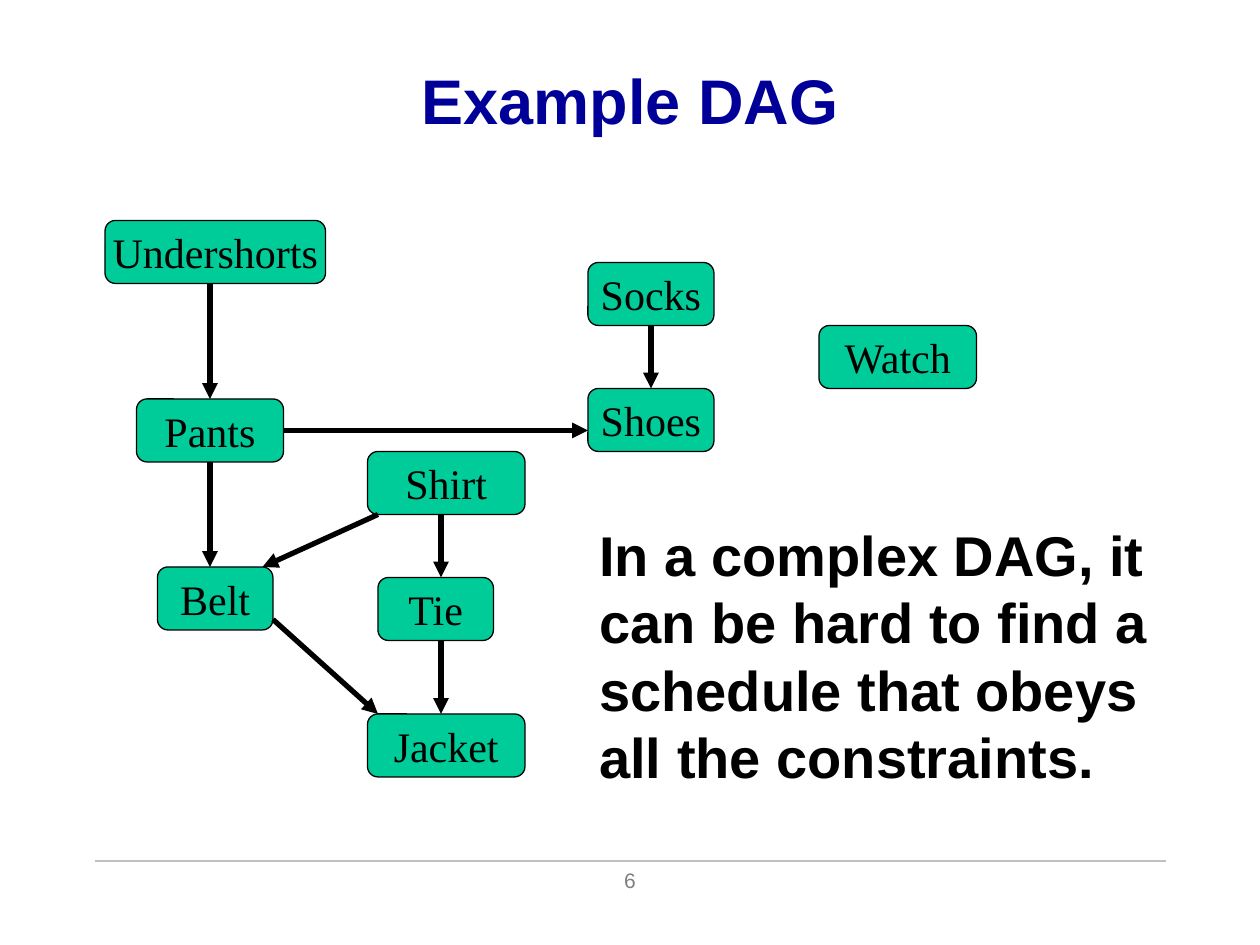
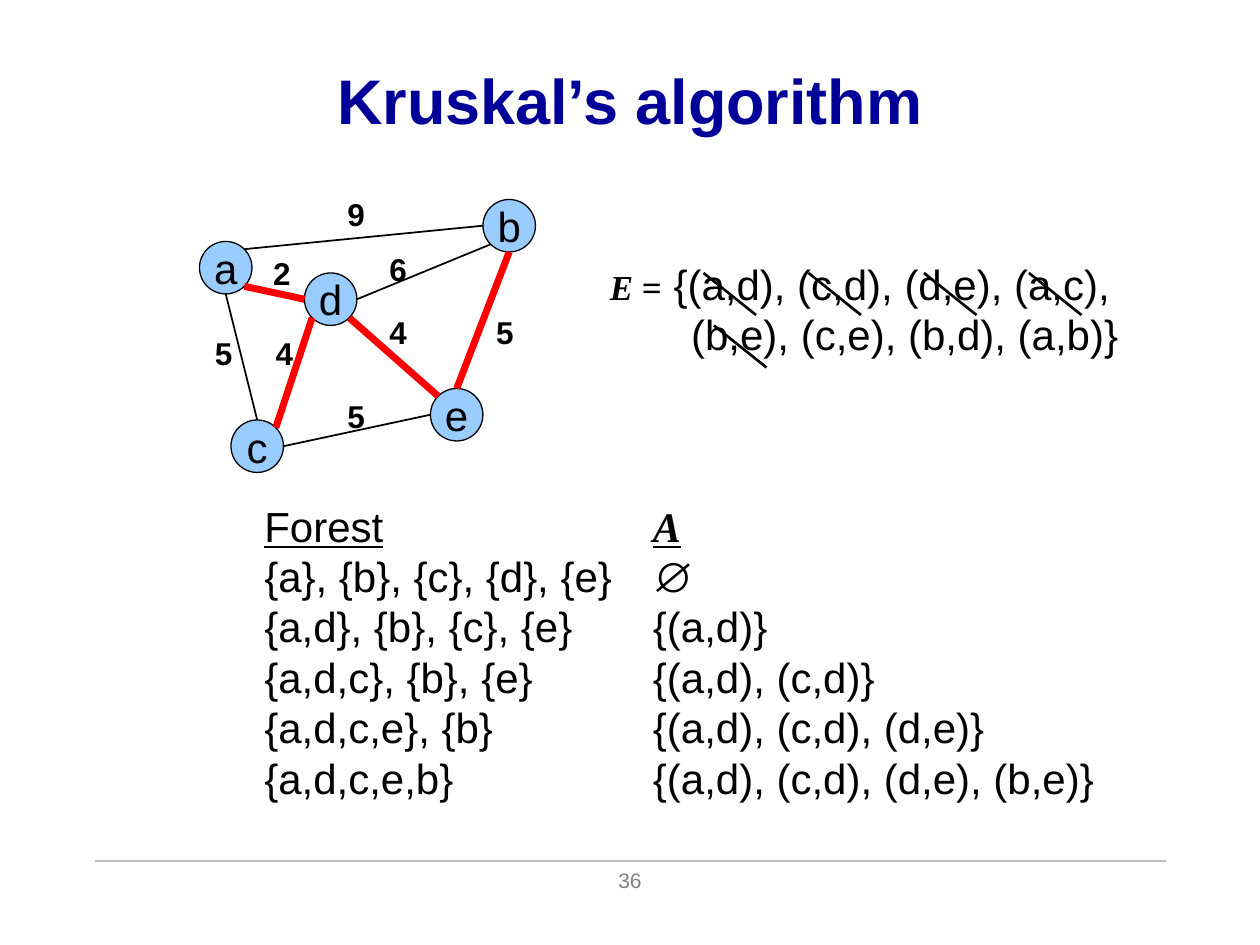
"""Build two lecture slides: a clothing DAG and a Kruskal trace."""
from dataclasses import dataclass
from math import cos, radians, sin

from lxml import etree
from pptx import Presentation
from pptx.dml.color import RGBColor
from pptx.enum.shapes import MSO_CONNECTOR, MSO_SHAPE
from pptx.enum.text import MSO_ANCHOR, PP_ALIGN
from pptx.oxml.ns import qn
from pptx.util import Cm, Pt

STRAIGHT = MSO_CONNECTOR.STRAIGHT
ROUNDED = MSO_SHAPE.ROUNDED_RECTANGLE
OVAL = MSO_SHAPE.OVAL
TOP, MIDDLE = MSO_ANCHOR.TOP, MSO_ANCHOR.MIDDLE
LEFT, CENTER = PP_ALIGN.LEFT, PP_ALIGN.CENTER


@dataclass(frozen=True)
class Theme:
    """Colours, fonts, type sizes and the grid step in centimetres."""
    grid: float = 2.54 / 12
    sans: str = "Arial"
    serif: str = "Times New Roman"
    title_color: str = "000099"
    ink: str = "000000"
    rule: str = "C0C0C0"
    muted: str = "808080"
    garment: str = "00CC99"
    vertex: str = "99CCFF"
    chosen: str = "FF0000"
    title_size: int = 36
    claim_size: int = 32
    body_size: int = 24
    symbol_size: int = 20
    weight_size: int = 18
    number_size: int = 12


THEME = Theme()
BOX_HEIGHT = 6
VERTEX_SIZE = 5
ANGLES = {"E": 0, "SE": 45, "S": 90, "SW": 135, "W": 180, "NW": 225, "N": 270, "NE": 315}

GARMENTS = [
    ("Watch", 78, 31, 15), ("Socks", 56, 25, 12), ("Shoes", 56, 37, 12),
    ("Undershorts", 10, 21, 21), ("Pants", 13, 38, 14), ("Belt", 15, 54, 11),
    ("Tie", 36, 55, 11), ("Shirt", 35, 43, 15), ("Jacket", 35, 68, 15),
]
CONSTRAINTS = [
    ((20, 27), (20, 38)), ((20, 44), (20, 54)), ((42, 49), (42, 55)), ((42, 61), (42, 68)),
    ((36, 49), (25, 54)), ((26, 59), (36, 68)), ((62, 31), (62, 37)), ((27, 41), (56, 41)),
]
VERTICES = {"a": (19, 23), "c": (22, 40), "e": (41, 37), "d": (29, 26), "b": (46, 19)}
OPEN_EDGES = [("a", "NE", "b", "W"), ("d", "E", "b", "SW"), ("a", "S", "c", "N"), ("e", "W", "c", "E")]
FOREST_EDGES = [("a", "SE", "d", "W"), ("c", "NE", "d", "SW"), ("d", "SE", "e", "NW"), ("b", "S", "e", "N")]
WEIGHTS = [
    ("2", 24.84, 23.64), ("4", 25.08, 31.2), ("5", 19.3, 31.2), ("9", 31.92, 18),
    ("6", 35.9, 23.2), ("4", 35.9, 29.2), ("5", 31.92, 37.2), ("5", 46.08, 29.2),
]
STRIKES = [(67, 26), (77, 26), (88, 26), (98, 26), (68, 31)]
FOREST_STEPS = "{a}, {b}, {c}, {d}, {e}\n{a,d}, {b}, {c}, {e}\n{a,d,c}, {b}, {e}\n{a,d,c,e}, {b}\n{a,d,c,e,b}"
CHOSEN_STEPS = "∅\n{(a,d)}\n{(a,d), (c,d)}\n{(a,d), (c,d), (d,e)}\n{(a,d), (c,d), (d,e), (b,e)}"


def grid(*steps):
    """Turn grid steps into lengths."""
    return [Cm(step * THEME.grid) for step in steps]


def write(shape, text, size=THEME.body_size, font=THEME.sans, color=THEME.ink, bold=False,
          italic=False, underline=False, align=LEFT, indent=0, same_line=False):
    """Append text to a shape, one paragraph per line."""
    frame = shape.text_frame
    for line in text.split("\n"):
        paragraph = frame.paragraphs[-1]
        if paragraph.runs and not same_line:
            paragraph = frame.add_paragraph()
        paragraph.alignment = align
        if indent:
            paragraph._p.get_or_add_pPr().set("marL", str(Cm(indent)))
        run = paragraph.add_run()
        run.text = line
        run.font.size, run.font.name = Pt(size), font
        run.font.bold, run.font.italic, run.font.underline = bold, italic, underline
        run.font.color.rgb = RGBColor.from_string(color)


def add_text_box(slide, left, top, width, height, anchor=TOP):
    """Add an empty text box whose lines do not wrap."""
    box = slide.shapes.add_textbox(*grid(left, top, width, height))
    box.text_frame.word_wrap = False
    box.text_frame.vertical_anchor = anchor
    return box


def add_node(slide, preset, label, bounds, fill, font):
    """Add an outlined shape with a centred label."""
    node = slide.shapes.add_shape(preset, *grid(*bounds))
    node.shadow.inherit = False
    node.fill.solid()
    node.fill.fore_color.rgb = RGBColor.from_string(fill)
    node.line.color.rgb = RGBColor.from_string(THEME.ink)
    node.line.width = Pt(0.75)
    node.text_frame.word_wrap = False
    node.text_frame.vertical_anchor = MIDDLE
    write(node, label, font=font, align=CENTER)


def add_line(slide, start, end, width, color=THEME.ink, arrow=False):
    """Add a straight line, with an arrowhead at its end on request."""
    line = slide.shapes.add_connector(STRAIGHT, *grid(*start, *end))
    line.line.width = Pt(width)
    line.line.color.rgb = RGBColor.from_string(color)
    if arrow:
        etree.SubElement(line.line._get_or_add_ln(), qn("a:tailEnd"), type="triangle")
    etree.SubElement(line._element.spPr, qn("a:effectLst"))


def rim(name, direction):
    """Return the point on a vertex's circle in a compass direction."""
    radius = VERTEX_SIZE / 2
    angle = radians(ANGLES[direction])
    left, top = VERTICES[name]
    return left + radius * (1 + cos(angle)), top + radius * (1 + sin(angle))


def add_edges(slide, edges, width, color):
    """Join pairs of vertices rim to rim."""
    for first, leaving, second, entering in edges:
        add_line(slide, rim(first, leaving), rim(second, entering), width, color)


def start_slide(presentation, title, number):
    """Add a blank slide with the shared title, rule and number."""
    slide = presentation.slides.add_slide(presentation.slide_layouts[6])
    add_line(slide, (9, 82), (111, 82), 1.5, THEME.rule)
    write(add_text_box(slide, 41, 82, 38, 6), number, size=THEME.number_size,
          color=THEME.muted, align=CENTER)
    write(add_text_box(slide, 9, 2, 102, 15, MIDDLE), title, size=THEME.title_size,
          color=THEME.title_color, bold=True, align=CENTER)
    return slide


def build_dag_slide(presentation):
    """Draw the garments, their order and the claim."""
    slide = start_slide(presentation, "Example DAG", "6")
    for name, left, top, width in GARMENTS:
        add_node(slide, ROUNDED, name, (left, top, width, BOX_HEIGHT), THEME.garment, THEME.serif)
    for start, end in CONSTRAINTS:
        add_line(slide, start, end, 3, arrow=True)
    claim = "In a complex DAG, it\ncan be hard to find a\nschedule that obeys\nall the constraints."
    write(add_text_box(slide, 55.9, 49, 57, 27), claim, size=THEME.claim_size, bold=True)


def build_kruskal_slide(presentation):
    """Draw the weighted graph, the sorted edges and the trace."""
    slide = start_slide(presentation, "Kruskal’s algorithm", "36")
    edge_list = add_text_box(slide, 56.9, 24, 53, 10.8, MIDDLE)
    symbol = {"size": THEME.symbol_size, "font": THEME.serif, "bold": True}
    write(edge_list, "E ", italic=True, **symbol)
    write(edge_list, "=", same_line=True, **symbol)
    write(edge_list, " {(a,d), (c,d), (d,e), (a,c),", same_line=True)
    write(edge_list, "(b,e), (c,e), (b,d), (a,b)}", indent=1.64)

    forest = add_text_box(slide, 24, 47.05, 37, 30)
    write(forest, "Forest", underline=True)
    write(forest, FOREST_STEPS)
    chosen = add_text_box(slide, 61, 47.05, 46, 30)
    write(chosen, "A", font=THEME.serif, bold=True, italic=True, underline=True)
    write(chosen, CHOSEN_STEPS)

    for name, (left, top) in VERTICES.items():
        add_node(slide, OVAL, name, (left, top, VERTEX_SIZE, VERTEX_SIZE), THEME.vertex, THEME.sans)
    add_edges(slide, OPEN_EDGES, 1, THEME.ink)
    add_edges(slide, FOREST_EDGES, 4, THEME.chosen)
    for weight, left, top in WEIGHTS:
        write(add_text_box(slide, left, top, 4.1, 4.8), weight, size=THEME.weight_size, bold=True)
    for left, top in STRIKES:
        add_line(slide, (left, top), (left + 5, top + 4), 1.5)


def main():
    """Build and save the presentation."""
    presentation = Presentation()
    presentation.slide_width, presentation.slide_height = Cm(25.4), Cm(19.05)
    build_dag_slide(presentation)
    build_kruskal_slide(presentation)
    presentation.save("out.pptx")


if __name__ == "__main__":
    main()
